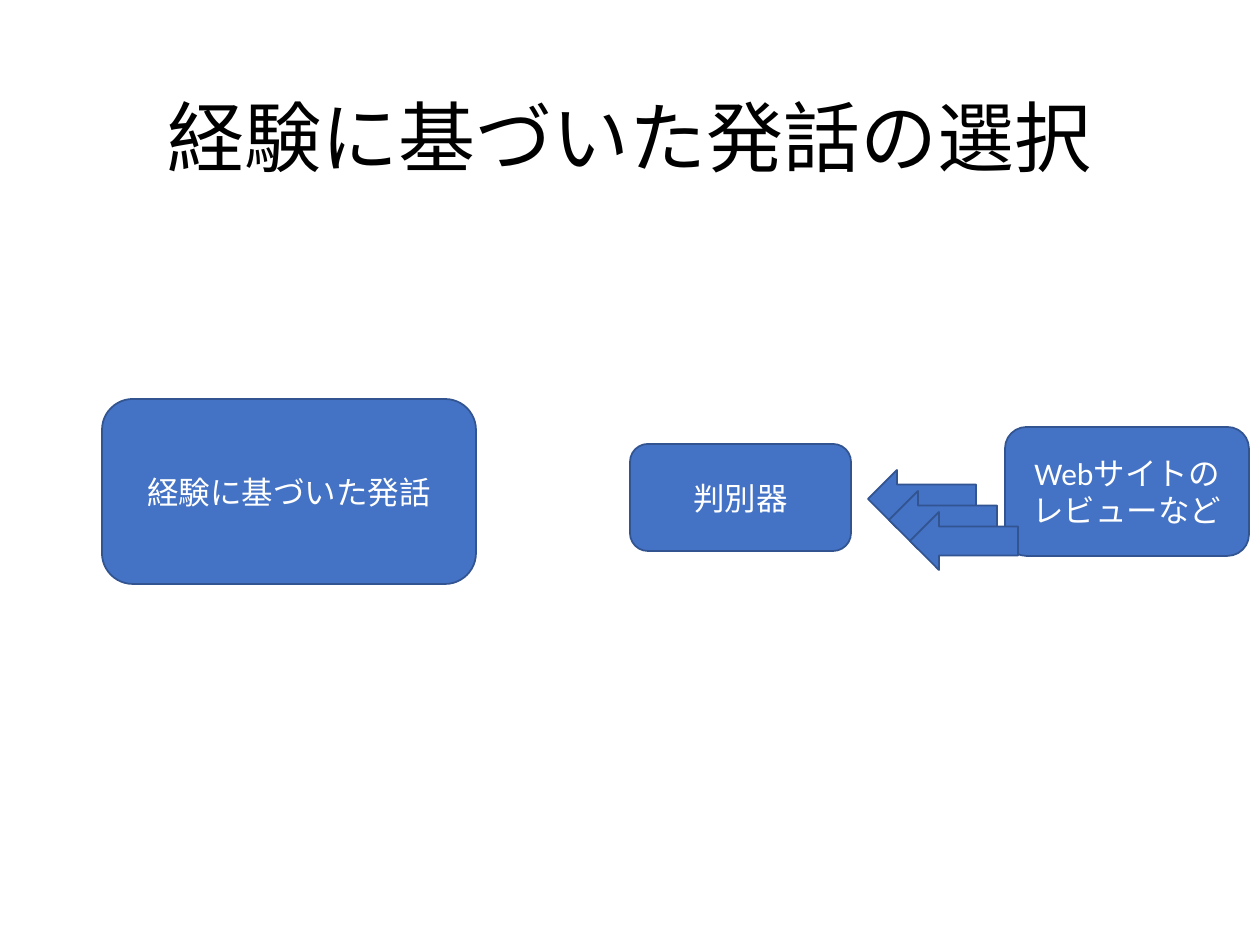
from pptx import Presentation
from pptx.dml.color import RGBColor
from pptx.enum.shapes import MSO_SHAPE
from pptx.enum.text import MSO_ANCHOR, PP_ALIGN
from pptx.util import Pt

PX = 914400 // 126
FONT = "Calibri"
COLORS = {"title": "000000", "fill": "4472C4", "line": "325491", "label": "FFFFFF"}
BOXES = [
    ("経験に基づいた発話", 102, 399, 374, 185),
    ("判別器", 630, 444, 221, 107),
    ("Webサイトのレビューなど", 1005, 427, 244, 129),
]
ARROW_COUNT = 3
ARROW_STEP = 21


def rgb(name):
    return RGBColor.from_string(COLORS[name])


def px(*lengths):
    return [n * PX for n in lengths]


def set_text(sp, text, size, color):
    tf = sp.text_frame
    tf.word_wrap = True
    tf.vertical_anchor = MSO_ANCHOR.MIDDLE
    p = tf.paragraphs[0]
    p.text = text
    p.alignment = PP_ALIGN.CENTER
    p.font.name = FONT
    p.font.size = Pt(size)
    p.font.color.rgb = rgb(color)
    return p


def add_title(s, text, *box):
    sp = s.shapes.add_textbox(*px(*box))
    p = set_text(sp, text, 44, "title")
    p.line_spacing = 0.9


def add_block(s, kind, *box):
    sp = s.shapes.add_shape(kind, *px(*box))
    sp.shadow.inherit = False
    sp.fill.solid()
    sp.fill.fore_color.rgb = rgb("fill")
    sp.line.color.rgb = rgb("line")
    sp.line.width = Pt(1)
    return sp


def add_box(s, text, *box):
    sp = add_block(s, MSO_SHAPE.ROUNDED_RECTANGLE, *box)
    set_text(sp, text, 18, "label")


def add_arrows(s, left, top, width, height):
    for i in range(ARROW_COUNT):
        shift = i * ARROW_STEP
        add_block(s, MSO_SHAPE.LEFT_ARROW, left + shift, top + shift, width, height)


def main():
    prs = Presentation()
    prs.slide_width, prs.slide_height = px(1260, 945)
    s = prs.slides.add_slide(prs.slide_layouts[6])
    add_title(s, "経験に基づいた発話の選択", 87, 50, 1086, 183)
    for box in BOXES:
        add_box(s, *box)
    add_arrows(s, 868, 470, 108, 58)
    prs.save("out.pptx")


if __name__ == "__main__":
    main()
